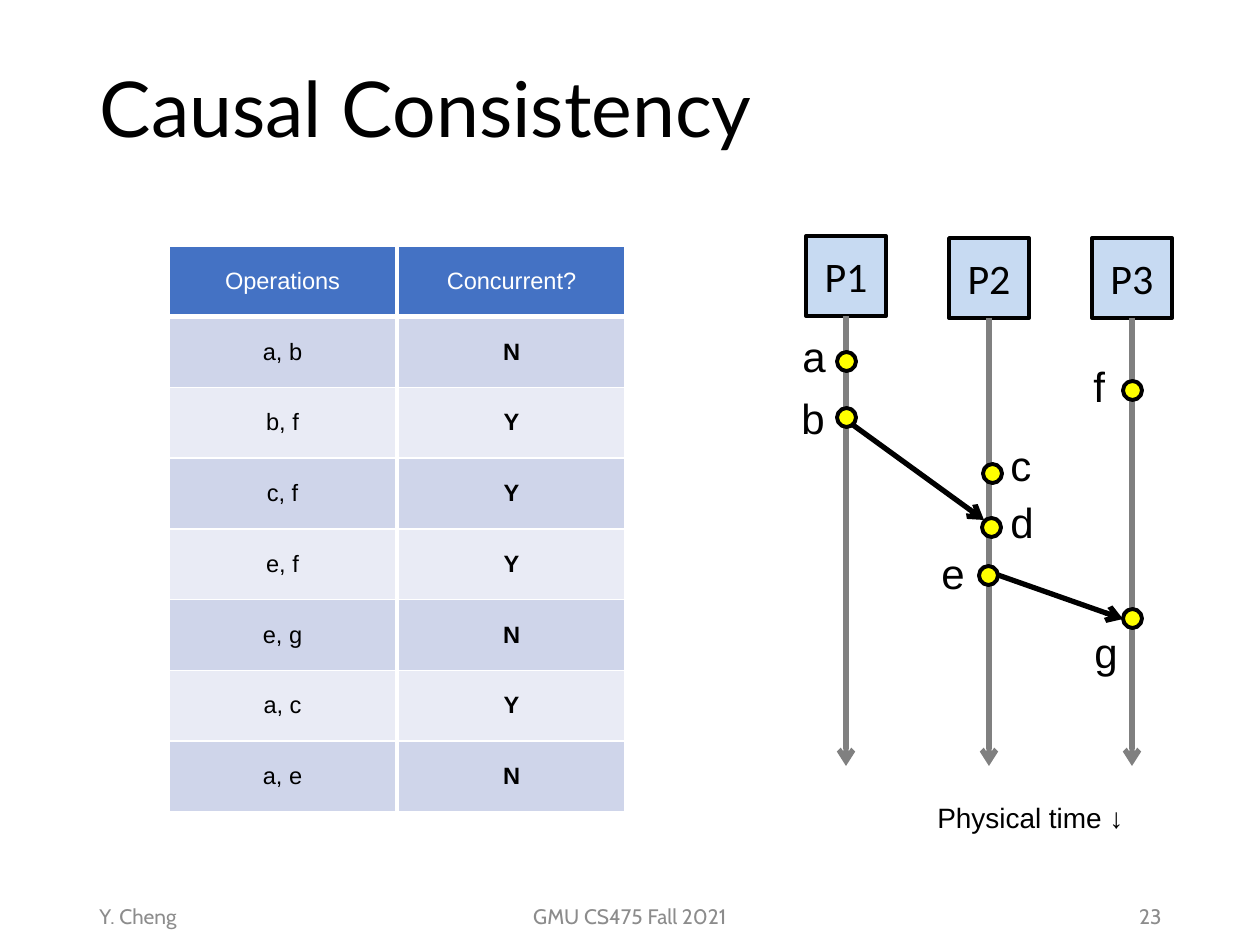
"""Build the causal consistency slide: a table of operations and a process timeline."""
from pptx import Presentation
from pptx import util as u
from pptx.dml.color import RGBColor
from pptx.enum import shapes, text
from pptx.oxml.ns import qn
from lxml import etree

BLACK = RGBColor(0, 0, 0)
WHITE = RGBColor(255, 255, 255)
GREY = RGBColor(0x80, 0x80, 0x80)
FOOT = RGBColor(0x8C, 0x8C, 0x8C)
HEAD = RGBColor(0x44, 0x72, 0xC4)
BANDS = RGBColor(0xE9, 0xEB, 0xF5), RGBColor(0xCF, 0xD5, 0xEA)
PALE = RGBColor(0xC7, 0xDA, 0xF2)
YELLOW = RGBColor(255, 255, 0)

LEFT, MID, RIGHT = text.PP_ALIGN.LEFT, text.PP_ALIGN.CENTER, text.PP_ALIGN.RIGHT
DOT = 19
BOX = 80


def px(n):
    return u.Emu(round(n * 914400 / 126))


class Deck:
    """Holds the style and the current slide."""

    def __init__(self):
        self.prs = Presentation()
        self.prs.slide_width, self.prs.slide_height = u.Inches(10), u.Inches(7.5)
        self.slide = self.prs.slides.add_slide(self.prs.slide_layouts[5])
        self.items = self.slide.shapes

    def put(self, frame, words, size, font="Arial", color=BLACK, align=LEFT, bold=False):
        frame.text = words
        para = frame.paragraphs[0]
        para.alignment = align
        para.font.size, para.font.name = u.Pt(size), font
        para.font.color.rgb, para.font.bold = color, bold
        return para

    def title(self, words, x, y, w, h):
        head = self.items.title
        head.left, head.top, head.width, head.height = map(px, (x, y, w, h))
        frame = head.text_frame
        frame.vertical_anchor = text.MSO_ANCHOR.MIDDLE
        self.put(frame, words, 44, "Lato").line_spacing = 0.9

    def label(self, words, x, y, w, h, size=24, anchor=text.MSO_ANCHOR.TOP, **style):
        frame = self.items.add_textbox(*map(px, (x, y, w, h))).text_frame
        frame.word_wrap = True
        frame.vertical_anchor = anchor
        self.put(frame, words, size, **style)

    def shape(self, kind, x, y, size, fill):
        item = self.items.add_shape(kind, *map(px, (x, y, size, size)))
        item.shadow.inherit = False
        item.fill.solid()
        item.fill.fore_color.rgb = fill
        item.line.color.rgb, item.line.width = BLACK, u.Pt(2.25)
        return item

    def box(self, words, x, y):
        item = self.shape(shapes.MSO_SHAPE.FLOWCHART_PROCESS, x, y, BOX, PALE)
        frame = item.text_frame
        frame.vertical_anchor = text.MSO_ANCHOR.MIDDLE
        self.put(frame, words, 24, "Calibri", align=MID)
        return item

    def dot(self, x, y):
        self.shape(shapes.MSO_SHAPE.OVAL, x, y, DOT, YELLOW)

    def arrow(self, x1, y1, x2, y2, color=BLACK, start=None):
        line = self.items.add_connector(
            shapes.MSO_CONNECTOR.STRAIGHT, *map(px, (x1, y1, x2, y2)))
        line.line.color.rgb, line.line.width = color, u.Pt(3)
        ends = line._element.spPr.find(qn("a:ln"))
        etree.SubElement(ends, qn("a:tailEnd"), type="arrow")
        etree.SubElement(line._element.spPr, qn("a:effectLst"))
        if start is not None:
            line.begin_connect(start, 2)

    def edge(self, cell, side, width):
        props = cell._tc.get_or_add_tcPr()
        line = etree.SubElement(props, qn("a:ln" + side), w=str(u.Pt(width)))
        fill = etree.SubElement(line, qn("a:solidFill"))
        etree.SubElement(fill, qn("a:srgbClr"), val=str(WHITE))

    def table(self, words, x, y, w, h, bold):
        rows = len(words)
        grid = self.items.add_table(rows, 1, *map(px, (x, y, w, h))).table
        for i, word in enumerate(words):
            grid.rows[i].height = px(h / rows)
            cell = grid.cell(i, 0)
            for side in "LRTB":
                self.edge(cell, side, 3 if i == 0 and side == "B" else 1)
            cell.fill.solid()
            cell.fill.fore_color.rgb = BANDS[i % 2] if i else HEAD
            cell.vertical_anchor = text.MSO_ANCHOR.MIDDLE
            self.put(cell.text_frame, word, 13.5, color=BLACK if i else WHITE,
                     align=MID, bold=bold and i > 0)


def main():
    deck = Deck()
    deck.title("Causal Consistency", 87, 21, 1086, 183)

    pairs = ["Operations", "a, b", "b, f", "c, f", "e, f", "e, g", "a, c", "a, e"]
    deck.table(pairs, 169, 246, 227, 566, False)
    deck.table(["Concurrent?", *"NYYYNYN"], 398, 246, 227, 566, True)

    for name, x, y in (("P1", 846, 236), ("P2", 989, 238), ("P3", 1132, 238)):
        box = deck.box(name, x - BOX // 2, y)
        deck.arrow(x, y + BOX, x, 766, GREY, box)

    deck.arrow(853, 425, 984, 520)
    deck.arrow(998, 575, 1123, 619)

    events = (
        ("a", 837, 352, 790, 324),
        ("b", 837, 408, 789, 386),
        ("c", 983, 464, 998, 433),
        ("d", 982, 518, 998, 490),
        ("e", 979, 566, 929, 541),
        ("f", 1123, 381, 1081, 354),
        ("g", 1123, 609, 1082, 620),
    )
    for name, x, y, left, top in events:
        deck.dot(x, y)
        deck.label(name, left, top, 50, 63)

    deck.label("Physical time ↓", 925, 794, 216, 47, 16)
    for words, x, w, align in (("Y. Cheng", 87, 284, LEFT),
                               ("GMU CS475 Fall 2021", 417, 426, MID),
                               ("23", 890, 284, RIGHT)):
        deck.label(words, x, 891, w, 50, 12, text.MSO_ANCHOR.MIDDLE,
                   font="Cabin", color=FOOT, align=align)

    deck.prs.save("out.pptx")


if __name__ == "__main__":
    main()
